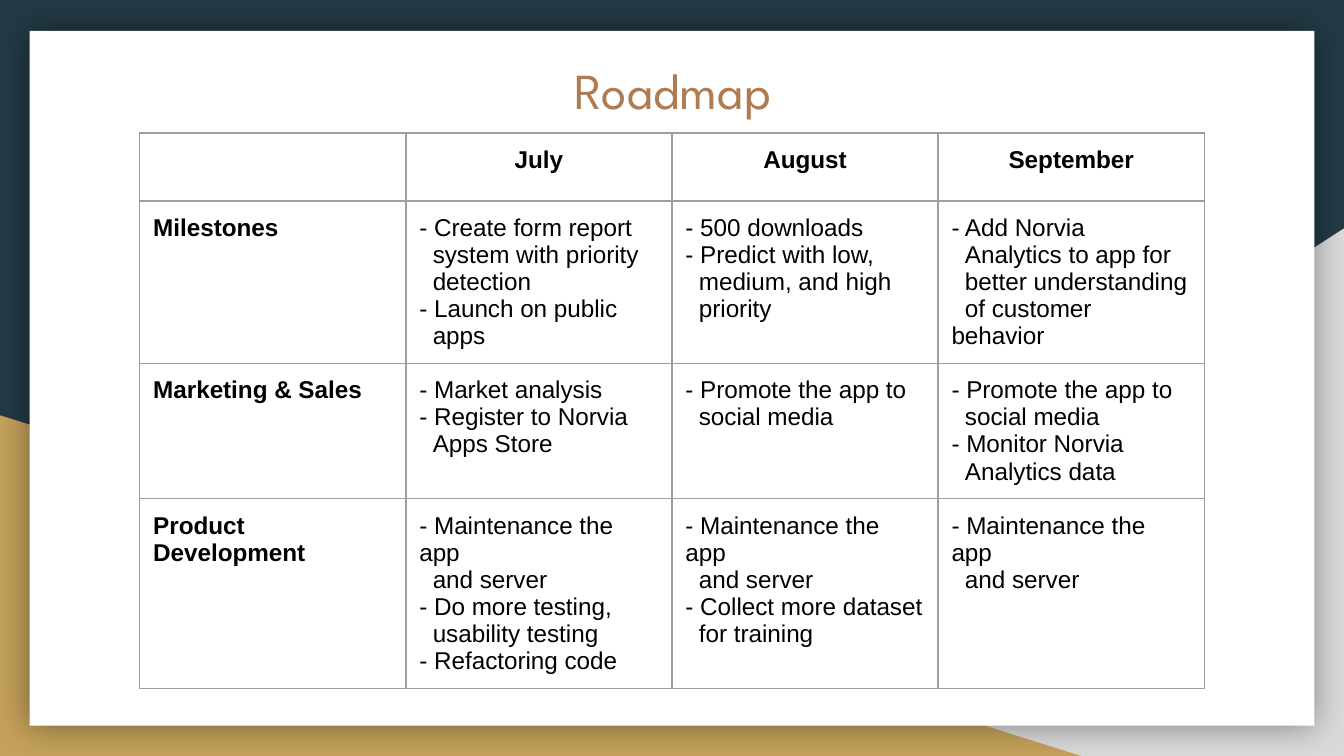
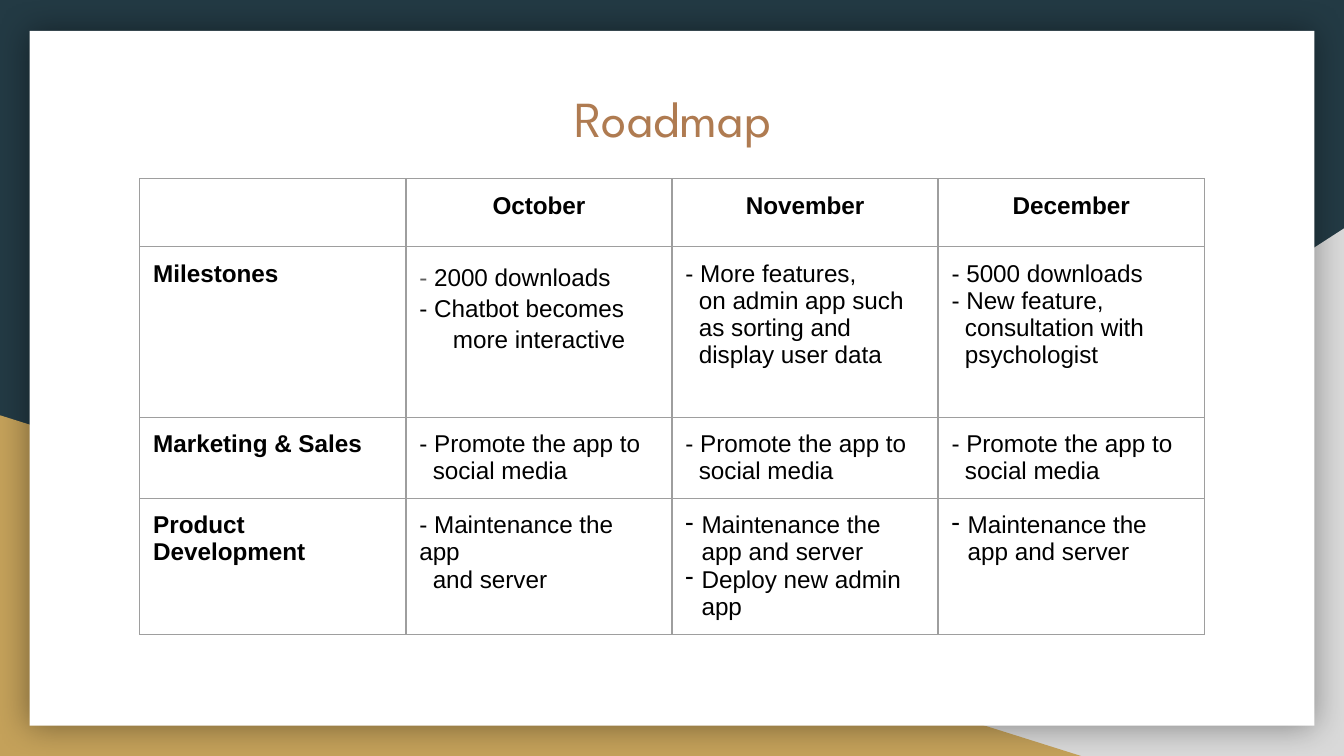
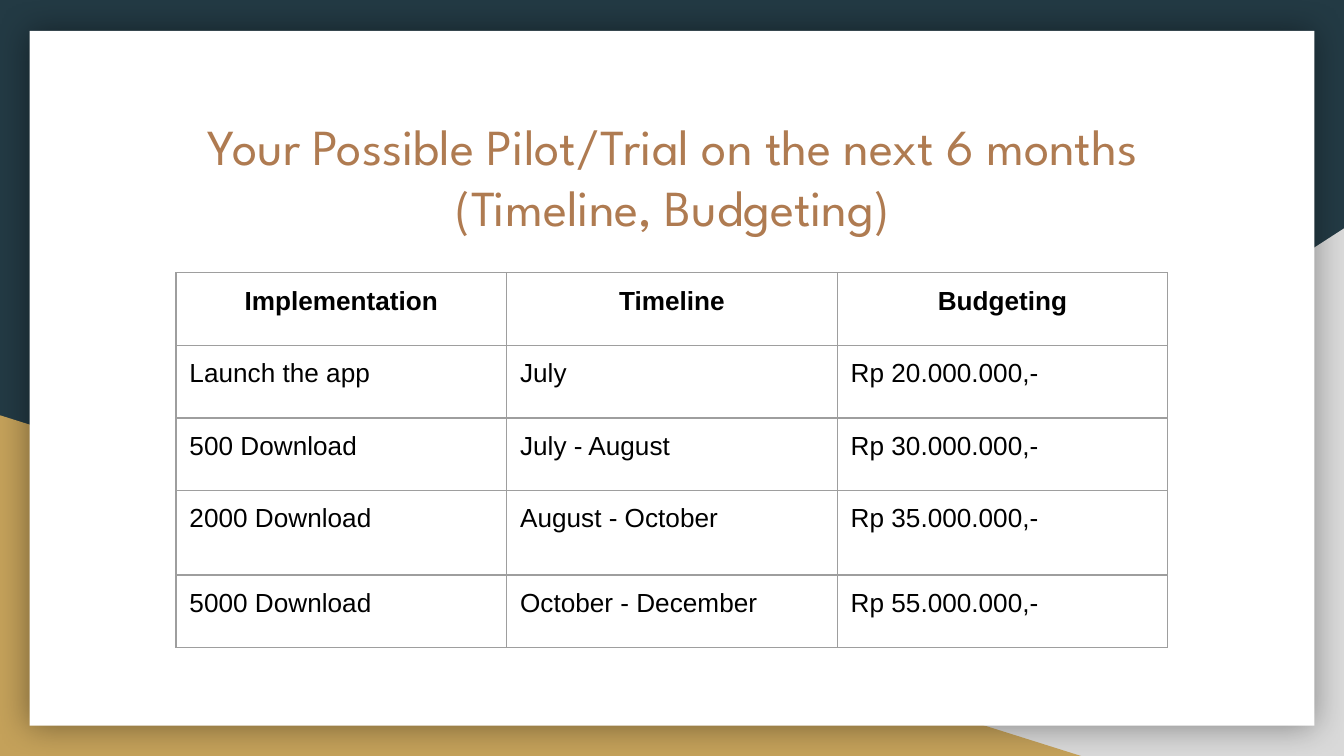
from dataclasses import dataclass
from typing import Any, Optional

from lxml import etree
from pptx import Presentation
from pptx.dml.color import RGBColor
from pptx.enum.shapes import MSO_SHAPE
from pptx.enum.text import MSO_ANCHOR, MSO_AUTO_SIZE, PP_ALIGN
from pptx.oxml.ns import qn
from pptx.util import Emu, Inches, Pt

TRIANGLE, RECTANGLE = MSO_SHAPE.RIGHT_TRIANGLE, MSO_SHAPE.RECTANGLE
CENTER, LEFT = PP_ALIGN.CENTER, PP_ALIGN.LEFT
TOP, NO_AUTOFIT = MSO_ANCHOR.TOP, MSO_AUTO_SIZE.NONE

NAVY, GOLD, SILVER, WHITE = "233A44", "C4A15A", "D9D9D9", "FFFFFF"
BRONZE, BLACK, GRAY, RULE = "AF7B51", "000000", "5E5E5E", "9E9E9E"
TITLE_FONT, BODY_FONT = "League Spartan", "Arial"
TITLE_LEFT, TITLE_WIDTH = 0.9, 8.21
INSET = Inches(0.1)
MARGINS = {f"margin_{side}": INSET for side in ("left", "top", "right", "bottom")}
BULLET_INDENT = Inches(0.12)


@dataclass
class Panel:
    kind: Any
    left: float
    top: float
    width: float
    height: float
    color: str
    flipped: bool = False
    shadow: bool = False


@dataclass
class Cell:
    """Lines starting with a dash open an item; later lines without one continue it."""
    text: str
    continuation: float = 0.1
    line_spacing: Optional[float] = None
    space_after: Optional[int] = None
    first_dash_color: str = BLACK
    bulleted: bool = False


@dataclass
class TableSlide:
    title: str
    title_top: float
    title_height: float
    left: float
    top: float
    column_width: float
    row_heights: list[float]
    rows: list[list[Cell]]
    size: int
    bold_labels: bool = True


PANELS = [
    Panel(TRIANGLE, 3.92, 1.7, 6.08, 3.93, SILVER, flipped=True),
    Panel(TRIANGLE, 0, 3.09, 8.06, 2.54, GOLD),
    Panel(RECTANGLE, 0.22, 0.23, 9.56, 5.17, WHITE, shadow=True),
]


def header(*names: str) -> list[Cell]:
    return [Cell(name) for name in names]


PROMOTE = Cell("- Promote the app to\nsocial media")
MAINTAIN = Cell("- Maintenance the app\nand server")

SLIDES = [
    TableSlide("Roadmap", 0.34, 0.7, 1.04, 0.99, 1.98, [0.48, 1.2, 1.0, 1.41], [
        header("", "July", "August", "September"),
        [Cell("Milestones"),
         Cell("- Create form report\nsystem with priority\ndetection\n- Launch on public\napps"),
         Cell("- 500 downloads\n- Predict with low,\nmedium, and high\npriority"),
         Cell("- Add Norvia\nAnalytics to app for\nbetter understanding\nof customer behavior")],
        [Cell("Marketing & Sales"),
         Cell("- Market analysis\n- Register to Norvia\nApps Store"),
         PROMOTE,
         Cell(PROMOTE.text + "\n- Monitor Norvia\nAnalytics data")],
        [Cell("Product Development"),
         Cell(MAINTAIN.text + "\n- Do more testing,\nusability testing\n- Refactoring code"),
         Cell(MAINTAIN.text + "\n- Collect more dataset\nfor training"),
         MAINTAIN],
    ], 13),
    TableSlide("Roadmap", 0.55, 0.7, 1.04, 1.33, 1.98, [0.48, 1.27, 0.6, 1.01], [
        header("", "October", "November", "December"),
        [Cell("Milestones"),
         Cell("- 2000 downloads\n- Chatbot becomes\nmore interactive",
              continuation=0.25, line_spacing=1.15, space_after=16, first_dash_color=GRAY),
         Cell("- More features,\non admin app such\nas sorting and\ndisplay user data"),
         Cell("- 5000 downloads\n- New feature,\nconsultation with\npsychologist")],
        [Cell("Marketing & Sales"), PROMOTE, PROMOTE, PROMOTE],
        [Cell("Product Development"),
         MAINTAIN,
         Cell("Maintenance the app and server\nDeploy new admin app", bulleted=True),
         Cell("Maintenance the app and server", bulleted=True)],
    ], 13),
    TableSlide("Your Possible Pilot/Trial on the next 6 months (Timeline, Budgeting)",
               0.76, 1.04, 1.31, 2.03, 2.46, [0.54, 0.54, 0.54, 0.63, 0.54], [
        header("Implementation", "Timeline", "Budgeting"),
        [Cell("Launch the app"), Cell("July"), Cell("Rp 20.000.000,-")],
        [Cell("500 Download"), Cell("July - August"), Cell("Rp 30.000.000,-")],
        [Cell("2000 Download"), Cell("August - October"), Cell("Rp 35.000.000,-")],
        [Cell("5000 Download"), Cell("October - December"), Cell("Rp 55.000.000,-")],
    ], 14, bold_labels=False),
]


def rgb(color: str) -> RGBColor:
    return RGBColor.from_string(color)


def apply(target: Any, values: dict[str, Any]) -> None:
    for name, value in values.items():
        setattr(target, name, value)


def add_color(parent: Any, color: str) -> Any:
    fill = etree.SubElement(parent, qn("a:solidFill"))
    return etree.SubElement(fill, qn("a:srgbClr"), val=color)


def add_run(paragraph: Any, text: str, font: str, size: int, color: str, bold: bool = False) -> None:
    run = paragraph.add_run()
    run.text = text
    apply(run.font, {"name": font, "size": Pt(size), "bold": bold})
    run.font.color.rgb = rgb(color)


def add_glow_shadow(shape: Any) -> None:
    """Give the shape a soft black shadow without offset."""
    effects = shape.element.spPr.find(qn("a:effectLst"))
    shadow = etree.SubElement(effects, qn("a:outerShdw"), blurRad=str(Pt(18)), dist="0",
                              dir="0", algn="ctr", rotWithShape="0")
    color = etree.SubElement(shadow, qn("a:srgbClr"), val=BLACK)
    etree.SubElement(color, qn("a:alpha"), val="40000")


def draw_panel(slide: Any, panel: Panel) -> Any:
    shape = slide.shapes.add_shape(panel.kind, Inches(panel.left), Inches(panel.top),
                                   Inches(panel.width), Inches(panel.height))
    shape.shadow.inherit = False
    shape.fill.solid()
    shape.fill.fore_color.rgb = rgb(panel.color)
    shape.line.fill.background()
    if panel.flipped:
        shape.element.spPr.find(qn("a:xfrm")).set("flipH", "1")
    if panel.shadow:
        add_glow_shadow(shape)
    return shape


def build_layout(layout: Any, slide: Any) -> None:
    """Draw the backdrop on the slide, then move it behind the layout's title."""
    layout.background.fill.solid()
    layout.background.fill.fore_color.rgb = rgb(NAVY)
    for placeholder in list(layout.placeholders)[1:]:
        layout.shapes.element.remove(placeholder.element)
    for position, panel in enumerate(PANELS, start=2):
        layout.shapes.element.insert(position, draw_panel(slide, panel).element)


def set_title(slide: Any, content: TableSlide) -> None:
    title = slide.shapes.title
    apply(title, {"left": Inches(TITLE_LEFT), "top": Inches(content.title_top),
                  "width": Inches(TITLE_WIDTH), "height": Inches(content.title_height)})
    apply(title.text_frame, {**MARGINS, "word_wrap": True, "auto_size": NO_AUTOFIT,
                             "vertical_anchor": TOP})
    paragraph = title.text_frame.paragraphs[0]
    paragraph.alignment = CENTER
    add_run(paragraph, content.title, TITLE_FONT, 27, BRONZE)


def set_borders(cell: Any) -> None:
    properties = cell._tc.get_or_add_tcPr()
    for position, side in enumerate(("lnL", "lnR", "lnT", "lnB")):
        line = etree.Element(qn(f"a:{side}"), w=str(Pt(0.75)))
        add_color(line, RULE)
        properties.insert(position, line)


def add_bullet(paragraph: Any) -> None:
    properties = paragraph._p.get_or_add_pPr()
    apply_indent(paragraph, BULLET_INDENT, -BULLET_INDENT)
    color = etree.SubElement(properties, qn("a:buClr"))
    etree.SubElement(color, qn("a:srgbClr"), val=BLACK)
    etree.SubElement(properties, qn("a:buChar"), char="-")


def apply_indent(paragraph: Any, left: int, first_line: int) -> None:
    properties = paragraph._p.get_or_add_pPr()
    properties.set("marL", str(left))
    properties.set("indent", str(first_line))


def fill_cell(cell: Any, content: Cell, size: int, bold: bool, alignment: Any) -> None:
    apply(cell, {**MARGINS, "vertical_anchor": TOP})
    cell.fill.background()
    set_borders(cell)
    if not content.text:
        return
    frame = cell.text_frame
    for number, line in enumerate(content.text.split("\n")):
        paragraph = frame.add_paragraph() if number else frame.paragraphs[0]
        if content.bulleted:
            add_bullet(paragraph)
        elif number and not line.startswith("- "):
            apply_indent(paragraph, 0, Inches(content.continuation))
        apply(paragraph, {"alignment": alignment, "line_spacing": content.line_spacing})
        if number == 0 and content.first_dash_color != BLACK:
            add_run(paragraph, "- ", BODY_FONT, size, content.first_dash_color)
            line = line.removeprefix("- ")
        add_run(paragraph, line, BODY_FONT, size, BLACK, bold)
    if content.space_after:
        frame.paragraphs[-1].space_after = Pt(content.space_after)


def draw_table(slide: Any, content: TableSlide) -> None:
    column_count = len(content.rows[0])
    frame = slide.shapes.add_table(
        len(content.rows), column_count, Inches(content.left), Inches(content.top),
        Inches(content.column_width * column_count), Inches(sum(content.row_heights)))
    table = frame.table
    apply(table, {"first_row": False, "horz_banding": False})
    for column in table.columns:
        column.width = Inches(content.column_width)
    for row_number, (height, row) in enumerate(zip(content.row_heights, content.rows)):
        table.rows[row_number].height = Inches(height)
        is_header = row_number == 0
        for column_number, cell in enumerate(row):
            bold = is_header or (content.bold_labels and column_number == 0)
            fill_cell(table.cell(row_number, column_number), cell, content.size, bold,
                      CENTER if is_header else LEFT)


def main() -> None:
    presentation = Presentation()
    presentation.slide_width = Inches(10)
    presentation.slide_height = Emu(Inches(5.625))
    layout = presentation.slide_layouts.get_by_name("Title Only")
    for number, content in enumerate(SLIDES):
        slide = presentation.slides.add_slide(layout)
        if number == 0:
            build_layout(layout, slide)
        set_title(slide, content)
        draw_table(slide, content)
    presentation.save("out.pptx")


if __name__ == "__main__":
    main()
